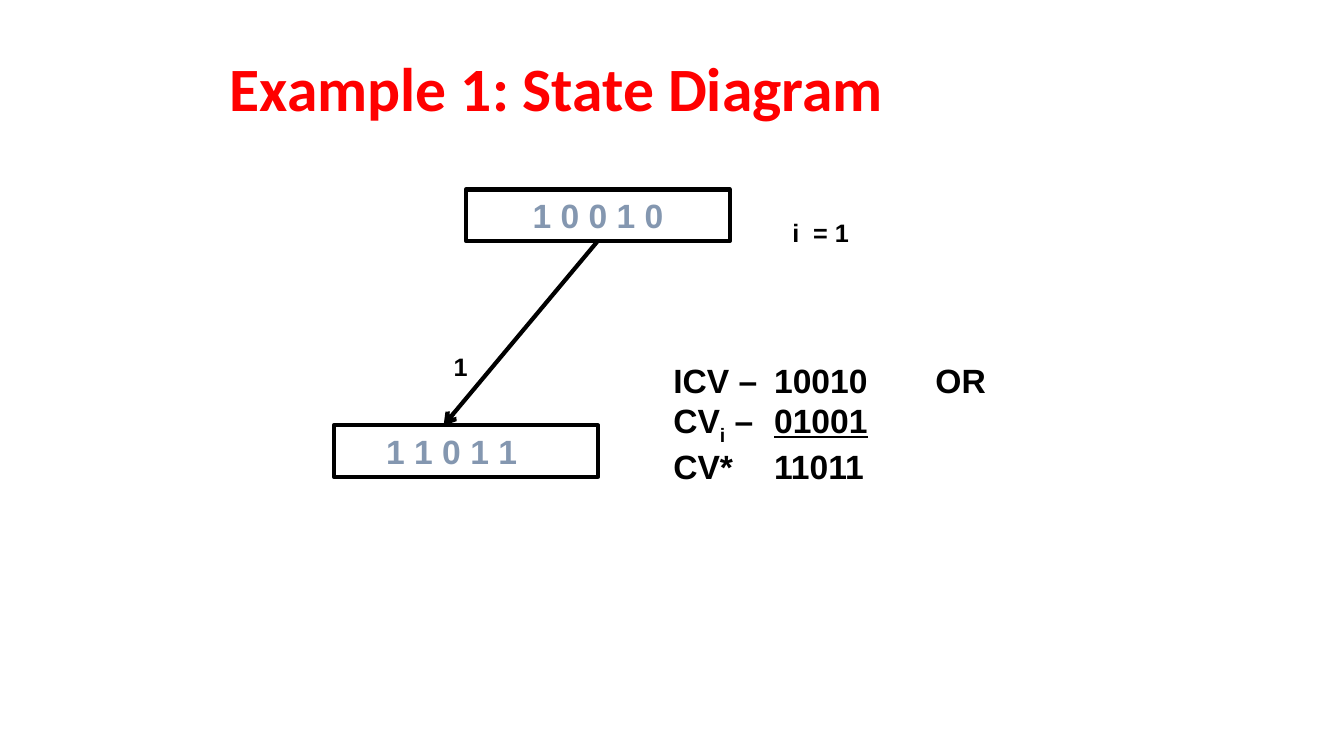
from pptx import Presentation, util as u
from pptx.dml.color import RGBColor as Rgb
from pptx.enum import shapes, text
from pptx.oxml import parse_xml
from pptx.oxml.ns import nsdecls, qn


class Theme:
    red = Rgb(0xFF, 0, 0)
    black = Rgb(0, 0, 0)
    steel = Rgb(0x84, 0x97, 0xB0)
    head, code, label = u.Pt(44), u.Pt(24), u.Pt(18)
    line = u.Pt(3)


def style(para, size, color, face="Arial"):
    font = para.font
    font.name, font.size, font.bold = face, size, True
    font.color.rgb = color


def add_text(left, top, width, height):
    box = slide.shapes.add_textbox(*map(u.Inches, (left, top, width, height)))
    box.text_frame.word_wrap = True
    return box.text_frame


deck = Presentation()
deck.slide_width, deck.slide_height = u.Inches(13.33), u.Inches(7.5)
slide = deck.slides.add_slide(deck.slide_layouts[5])

# Title
title = slide.shapes.title
title.left, title.top = u.Inches(2.18), u.Inches(0.28)
title.width, title.height = u.Inches(9), u.Inches(1.25)
frame = title.text_frame
frame.text = "Example 1: State Diagram"
frame.vertical_anchor = text.MSO_ANCHOR.MIDDLE
para = frame.paragraphs[0]
para.alignment = text.PP_ALIGN.LEFT
para.line_spacing = 0.9
style(para, Theme.head, Theme.red, "Calibri")

# States: bits, left, top, right inset
states = []
for bits, left, top, inset in (
    ("1 0 0 1 0", 4.62, 1.88, 0.1),
    ("1 1 0 1 1", 3.31, 4.22, 0.38),
):
    state = slide.shapes.add_shape(
        shapes.MSO_SHAPE.RECTANGLE, u.Inches(left), u.Inches(top), u.Inches(2.62), u.Inches(0.51)
    )
    state.shadow.inherit = False
    state.fill.background()
    state.line.color.rgb, state.line.width = Theme.black, Theme.line
    frame = state.text_frame
    frame.text = bits
    frame.margin_right = u.Inches(inset)
    para = frame.paragraphs[0]
    para.alignment = text.PP_ALIGN.CENTER
    style(para, Theme.code, Theme.steel)
    states.append(state)

# Transition
arrow = slide.shapes.add_connector(
    shapes.MSO_CONNECTOR.STRAIGHT, u.Inches(5.93), u.Inches(2.39), u.Inches(4.4), u.Inches(4.22)
)
arrow.begin_connect(states[0], 2)
arrow.line.color.rgb, arrow.line.width = Theme.black, Theme.line
props = arrow._element.spPr
props.find(qn("a:ln")).append(parse_xml(f'<a:tailEnd {nsdecls("a")} type="arrow"/>'))
props.append(parse_xml(f'<a:effectLst {nsdecls("a")}/>'))

# Vector sum, in columns set by tab stops
frame = add_text(6.58, 3.52, 4.3, 1.31)
rows = (
    ("ICV –\t10010\tOR",),
    ("CV", "i", " –\t", "01001"),
    ("CV*\t11011",),
)
stops = "".join(f'<a:tab pos="{u.Inches(x)}" algn="l"/>' for x in (1, 2.6))
for n, row in enumerate(rows):
    para = frame.paragraphs[0] if n == 0 else frame.add_paragraph()
    style(para, Theme.code, Theme.black)
    para._p.get_or_add_pPr().insert(0, parse_xml(f'<a:tabLst {nsdecls("a")}>{stops}</a:tabLst>'))
    for part in row:
        run = para.add_run()
        run.text = part
        if part == "i":
            run.font._element.set("baseline", "-25000")
        elif part == "01001":
            run.font.underline = True

# Labels
for words, left, top, width in (("i  = 1", 7.76, 2.11, 0.86), ("1", 4.4, 3.44, 0.55)):
    frame = add_text(left, top, width, 0.4)
    frame.text = words
    style(frame.paragraphs[0], Theme.label, Theme.black)

deck.save("out.pptx")
